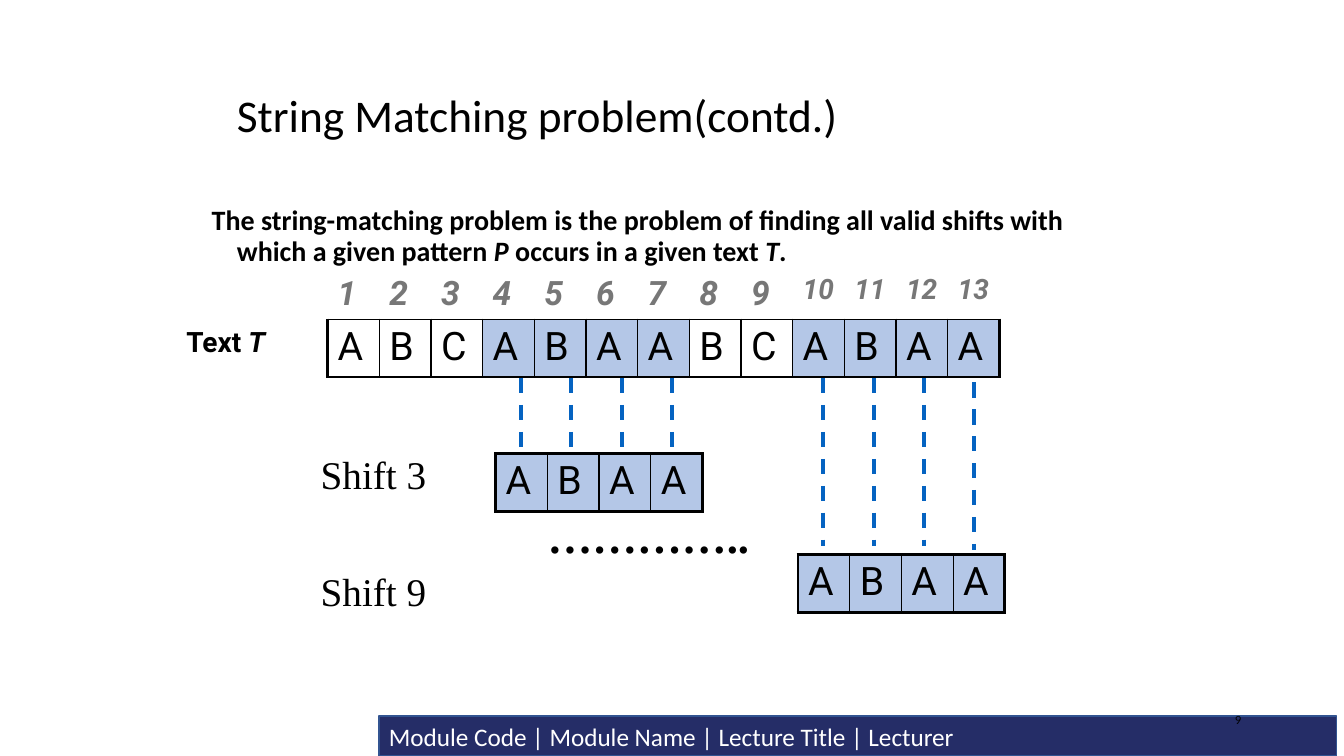
from lxml import etree
from pptx import Presentation
from pptx import util as u
from pptx.dml.color import RGBColor
from pptx.enum import dml, shapes, text
from pptx.oxml import ns

BLACK = RGBColor(0x00, 0x00, 0x00)
WHITE = RGBColor(0xFF, 0xFF, 0xFF)
GREY = RGBColor(0x77, 0x77, 0x77)
PALE = RGBColor(0xB4, 0xC7, 0xE7)
BLUE = RGBColor(0x05, 0x63, 0xC1)
NAVY = RGBColor(0x25, 0x2D, 0x67)
EDGE = RGBColor(0x32, 0x54, 0x91)
SCALE = 9525
THIN, THICK = 1, 2.25
STRING, PATTERN = "ABCABAABCABAA", "ABAA"
SHIFTS = (3, 9)


def px(*sizes):
    return [u.Emu(round(size * SCALE)) for size in sizes]


def style(para, face, size, color=BLACK, bold=False, italic=False):
    font = para.font
    font.name, font.size, font.bold = face, u.Pt(size), bold
    font.italic = italic
    font.color.rgb = color


def write(para, parts):
    for index, part in enumerate(parts):
        run = para.add_run()
        run.text = part
        if index % 2:
            run.font.italic = True


def label(slide, box, parts, face, size, bold=False):
    frame = slide.shapes.add_textbox(*px(*box)).text_frame
    frame.word_wrap = True
    para = frame.paragraphs[0]
    write(para, parts)
    style(para, face, size, bold=bold)
    return frame


def place(holder, box, parts, size, bold=False):
    holder.left, holder.top, holder.width, holder.height = px(*box)
    frame = holder.text_frame
    frame.auto_size = text.MSO_AUTO_SIZE.NONE
    para = frame.paragraphs[0]
    write(para, parts)
    style(para, "Calibri", size, bold=bold)
    para.alignment = text.PP_ALIGN.LEFT
    para.line_spacing = 0.9
    para.space_before = u.Pt(0)
    return frame


def heading(slide, box):
    frame = place(slide.shapes.title, box, ["String Matching problem(contd.)"], 32.4)
    frame.vertical_anchor = text.MSO_ANCHOR.MIDDLE


def body(slide, box):
    parts = ["The string-matching problem is the problem of finding all valid "
             "shifts with which a given pattern ", "P",
             " occurs in a given text ", "T", "."]
    frame = place(slide.placeholders[1], box, parts, 20, True)
    props = frame.paragraphs[0]._p.get_or_add_pPr()
    indent, = px(24)
    props.set("marL", str(indent))
    props.set("indent", str(-indent))
    etree.SubElement(props, ns.qn("a:buNone"))


def footer(slide, box):
    bar = slide.shapes.add_shape(shapes.MSO_SHAPE.RECTANGLE, *px(*box))
    bar.shadow.inherit = False
    bar.fill.solid()
    bar.fill.fore_color.rgb = NAVY
    bar.line.color.rgb = EDGE
    bar.line.width = u.Pt(1)
    frame = bar.text_frame
    frame.vertical_anchor = text.MSO_ANCHOR.MIDDLE
    para = frame.paragraphs[0]
    para.text = "Module Code | Module Name | Lecture Title | Lecturer"
    para.alignment = text.PP_ALIGN.LEFT
    style(para, "Calibri", 18, WHITE)


def number(slide, box):
    frame = label(slide, box, ["9"], "Lato", 8)
    frame.vertical_anchor = text.MSO_ANCHOR.MIDDLE
    frame.paragraphs[0].alignment = text.PP_ALIGN.RIGHT


def border(cell, widths):
    props = cell._tc.get_or_add_tcPr()
    for index, (side, width) in enumerate(zip("LRTB", widths)):
        line = etree.Element(ns.qn("a:ln" + side), w=str(u.Pt(width)))
        fill = etree.SubElement(line, ns.qn("a:solidFill"))
        etree.SubElement(fill, ns.qn("a:srgbClr"), val=str(BLACK))
        props.insert(index, line)


def fill_cell(cell, word, size, fill, color=BLACK, strong=False):
    cell.fill.solid()
    cell.fill.fore_color.rgb = fill
    para = cell.text_frame.paragraphs[0]
    para.text = word
    style(para, "Roboto", size, color, strong, strong)


def strip(slide, box, word, marked, heights, top):
    count = len(word)
    table = slide.shapes.add_table(len(heights), count, *px(*box)).table
    table.first_row = table.horz_banding = False
    for row, height in zip(table.rows, px(*heights)):
        row.height = height
    last = len(heights) - 1
    for index, letter in enumerate(word):
        table.columns[index].width, = px(box[2] / count)
        cell = table.cell(last, index)
        fill_cell(cell, letter, 28, PALE if index in marked else WHITE)
        border(cell, (THICK if index == 0 else THIN,
                      THICK if index == count - 1 else THIN, top, THICK))
    return table


def string(slide, box):
    marked = {shift + step for shift in SHIFTS for step in range(len(PATTERN))}
    table = strip(slide, box, STRING, marked, (48, 55), THIN)
    for index in range(len(STRING)):
        size = 24 if index < 9 else 20
        fill_cell(table.cell(0, index), str(index + 1), size, WHITE, GREY, True)


def match(slide, box):
    strip(slide, box, PATTERN, range(len(PATTERN)), (box[3],), THICK)


def links(slide, box, nudge=0):
    left, top, width, height = box
    last = len(PATTERN) - 1
    for index in range(last + 1):
        x = left + index * width / last
        y = top + (nudge if index == last else 0)
        line = slide.shapes.add_connector(
            shapes.MSO_CONNECTOR.STRAIGHT, *px(x, y, x, y + height))
        line.line.color.rgb = BLUE
        line.line.width = u.Pt(2.75)
        line.line.dash_style = dml.MSO_LINE.DASH
        etree.SubElement(line._element.spPr, ns.qn("a:effectLst"))


def main():
    deck = Presentation()
    deck.slide_width, deck.slide_height = px(1280, 720)
    slide = deck.slides.add_slide(deck.slide_layouts[1])
    footer(slide, (361, 682, 912, 38))
    heading(slide, (216, 88, 816, 48))
    body(slide, (192, 192, 840, 104))
    number(slide, (904, 667, 288, 38))
    string(slide, (312, 256, 640, 103))
    match(slide, (472, 432, 197, 55))
    match(slide, (760, 528, 197, 55))
    for shift, top in zip(SHIFTS, (424, 536)):
        label(slide, (296, top, 160, 55), [f"Shift {shift}"], "Times New Roman", 28)
    links(slide, (496, 360, 144, 72))
    links(slide, (784, 360, 144, 160), 4)
    label(slide, (168, 304, 160, 41), ["Text ", "T"], "Roboto", 20, True)
    label(slide, (512, 480, 304, 60), ["…………..",], "Times New Roman", 32, True)
    deck.save("out.pptx")


if __name__ == "__main__":
    main()
